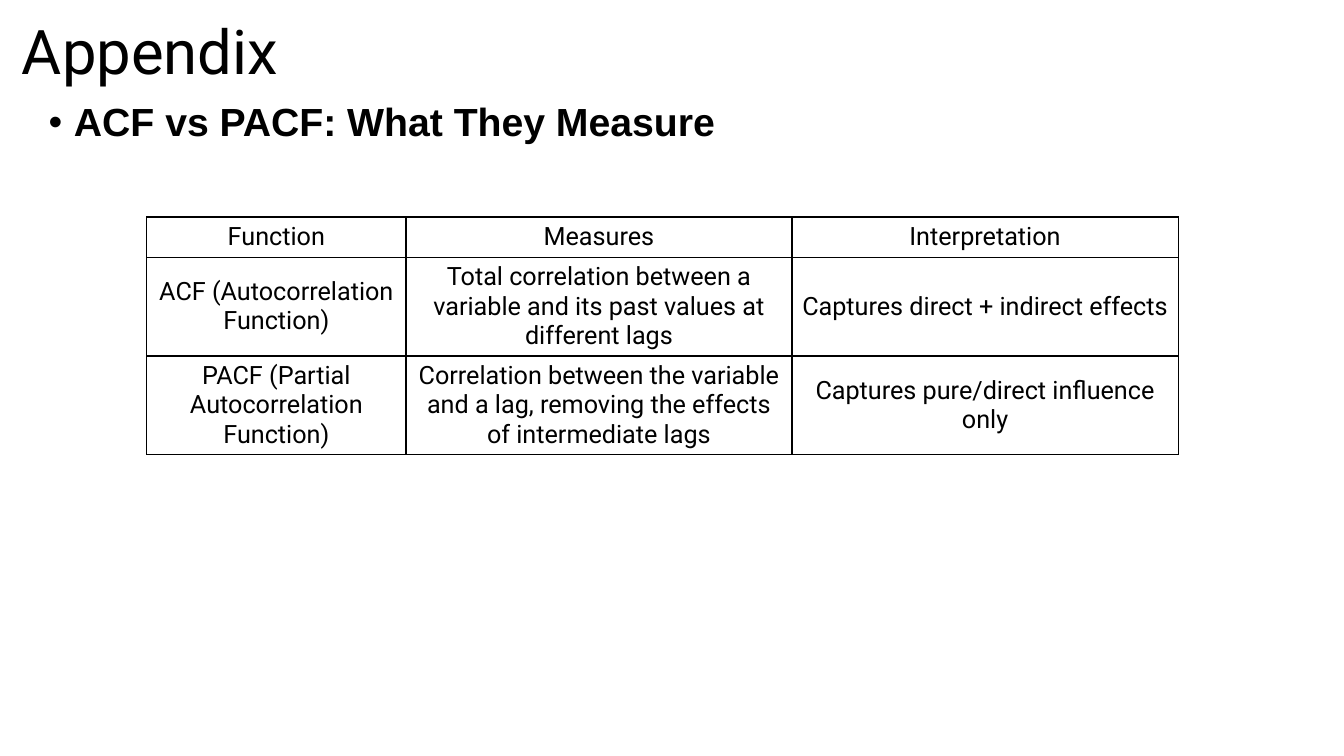
from lxml.etree import SubElement
from pptx import Presentation
from pptx.dml.color import RGBColor
from pptx.enum.text import MSO_ANCHOR as ANCHOR, MSO_AUTO_SIZE as AUTOSIZE, PP_ALIGN as ALIGN
from pptx.oxml.ns import qn
from pptx.util import Cm, Pt

TITLE = "Appendix"
BULLET = "ACF vs PACF: What They Measure"
ROWS = [
    ("Function", "Measures", "Interpretation"),
    ("ACF (Autocorrelation Function)",
     "Total correlation between a variable and its past values at different lags",
     "Captures direct + indirect effects"),
    ("PACF (Partial Autocorrelation Function)",
     "Correlation between the variable and a lag, removing the effects of intermediate lags",
     "Captures pure/direct influence only"),
]
COL_WIDTHS = [6.53, 9.73, 9.73]
ROW_HEIGHTS = [1.01, 2.49, 2.49]
BLACK = RGBColor(0, 0, 0)


def write(tf, text, size, font="Roboto", bold=False, align=ALIGN.LEFT,
          anchor=ANCHOR.MIDDLE, spacing=None, before=0):
    tf.word_wrap = True
    tf.vertical_anchor = anchor
    p = tf.paragraphs[0]
    p.alignment = align
    p.line_spacing = spacing
    p.space_before = Pt(before)
    r = p.add_run()
    r.text = text
    r.font.name, r.font.size, r.font.bold = font, Pt(size), bold
    r.font.color.rgb = BLACK
    return p


def place(shape, left, top, width, height):
    shape.left, shape.top = Cm(left), Cm(top)
    shape.width, shape.height = Cm(width), Cm(height)
    shape.text_frame.auto_size = AUTOSIZE.NONE


def add_bullet(p, indent):
    pPr = p._p.get_or_add_pPr()
    pPr.set("marL", str(indent))
    pPr.set("indent", str(-indent))
    SubElement(pPr, qn("a:buFont")).set("typeface", "Arial")
    SubElement(pPr, qn("a:buChar")).set("char", "•")


def add_borders(cell):
    tcPr = cell._tc.get_or_add_tcPr()
    for i, side in enumerate(("lnL", "lnR", "lnT", "lnB")):
        ln = tcPr.makeelement(qn(f"a:{side}"), {"w": str(Pt(1))})
        fill = SubElement(ln, qn("a:solidFill"))
        SubElement(fill, qn("a:srgbClr")).set("val", str(BLACK))
        tcPr.insert(i, ln)


def main():
    prs = Presentation()
    prs.slide_width, prs.slide_height = Cm(33.87), Cm(19.05)
    s = prs.slides.add_slide(prs.slide_layouts[1])

    title, body = s.shapes.title, s.placeholders[1]
    place(title, 0.3, 0.3, 29.21, 2.16)
    write(title.text_frame, TITLE, 44, spacing=0.9)
    place(body, 0.97, 2.46, 29.21, 12.09)
    p = write(body.text_frame, BULLET, 28, font="Arial", bold=True,
              anchor=ANCHOR.TOP, spacing=0.9, before=10)
    add_bullet(p, Cm(0.64))

    frame = s.shapes.add_table(len(ROWS), len(COL_WIDTHS), Cm(3.7), Cm(5.47),
                               Cm(sum(COL_WIDTHS)), Cm(sum(ROW_HEIGHTS)))
    table = frame.table
    table.first_row = table.horz_banding = False
    for col, width in zip(table.columns, COL_WIDTHS):
        col.width = Cm(width)
    for row, height, texts in zip(table.rows, ROW_HEIGHTS, ROWS):
        row.height = Cm(height)
        for cell, text in zip(row.cells, texts):
            write(cell.text_frame, text, 18, align=ALIGN.CENTER)
            cell.vertical_anchor = ANCHOR.MIDDLE
            cell.margin_left = cell.margin_right = Cm(0.2)
            cell.fill.background()
            add_borders(cell)

    prs.save("out.pptx")


if __name__ == "__main__":
    main()
